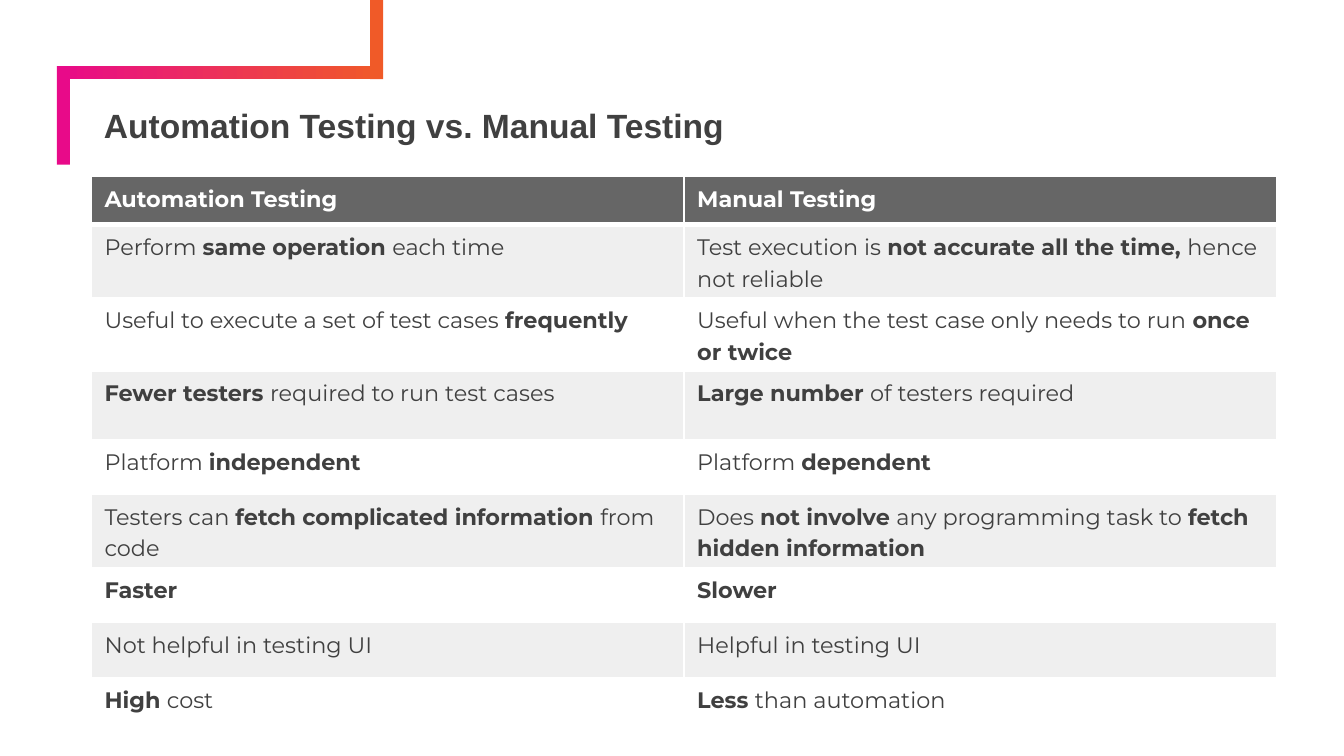
"""Build the slide that compares automation testing with manual testing."""
from lxml import etree
from pptx import Presentation
from pptx.dml.color import RGBColor
from pptx.enum import shapes, text
from pptx.oxml import ns
from pptx.util import Pt

COLORS = {
    "orange": "F05A28",
    "pink": "E80A89",
    "ink": "404040",
    "white": "FFFFFF",
    "header": "666666",
    "band": "EFEFEF",
}
ROW_HEIGHTS = [26, 36.7, 36.7, 36.7, 29.5, 36.7, 29.5, 29.5, 29.5]
COMPARISON = [
    ("*Automation Testing*", "*Manual Testing*"),
    ("Perform *same operation *each time",
     "Test execution is *not accurate all the time, *hence not reliable"),
    ("Useful to execute a set of test cases *frequently*",
     "Useful when the test case only needs to run *once or twice*"),
    ("*Fewer testers *required to run test cases",
     "*Large number *of testers required"),
    ("Platform *independent*", "Platform *dependent*"),
    ("Testers can *fetch complicated information *from code",
     "Does *not involve *any programming task to *fetch hidden information*"),
    ("*Faster*", "*Slower*"),
    ("Not helpful in testing UI", "Helpful in testing UI"),
    ("*High *cost", "*Less *than automation"),
]


def rgb(name):
    return RGBColor.from_string(COLORS[name])


def style_font(font, face, size, color, bold):
    font.name = face
    font.size = Pt(size)
    font.color.rgb = rgb(color)
    font.bold = bold


def add_bar(slide, left, top, width, height, *colors):
    bar = slide.shapes.add_shape(
        shapes.MSO_SHAPE.RECTANGLE, Pt(left), Pt(top), Pt(width), Pt(height))
    bar.shadow.inherit = False
    bar.line.fill.background()
    if len(colors) == 1:
        bar.fill.solid()
        bar.fill.fore_color.rgb = rgb(colors[0])
        return
    bar.fill.gradient()
    bar.fill.gradient_angle = 0
    for stop, color in zip(bar.fill.gradient_stops, colors):
        stop.color.rgb = rgb(color)


def add_title(slide, wording):
    title = slide.shapes.title
    title.left, title.top, title.width, title.height = (
        Pt(48.5), Pt(56), Pt(650), Pt(24.5))
    frame = title.text_frame
    frame.text = wording
    frame.word_wrap = True
    frame.auto_size = text.MSO_AUTO_SIZE.NONE
    frame.vertical_anchor = text.MSO_ANCHOR.MIDDLE
    heading = frame.paragraphs[0]
    heading.alignment = text.PP_ALIGN.LEFT
    heading.line_spacing = 0.9
    style_font(heading.runs[0].font, "Arial", 18, "ink", True)


def set_borders(cell, bottom):
    properties = cell._tc.get_or_add_tcPr()
    widths = {"a:lnL": 1, "a:lnR": 1, "a:lnT": 1, "a:lnB": bottom}
    for position, (tag, width) in enumerate(widths.items()):
        border = etree.Element(ns.qn(tag), w=str(Pt(width)))
        fill = etree.SubElement(border, ns.qn("a:solidFill"))
        etree.SubElement(fill, ns.qn("a:srgbClr"), val=COLORS["white"])
        properties.insert(position, border)


def fill_cell(cell, wording, fill, ink, bottom):
    cell.fill.solid()
    cell.fill.fore_color.rgb = rgb(fill)
    cell.margin_left = cell.margin_right = Pt(7.2)
    cell.margin_top = cell.margin_bottom = Pt(2.7)
    paragraph = cell.text_frame.paragraphs[0]
    paragraph.line_spacing = 1.15
    for index, part in enumerate(wording.split("*")):
        if part:
            run = paragraph.add_run()
            run.text = part
            style_font(run.font, "Montserrat", 12, ink, index % 2 == 1)
    set_borders(cell, bottom)


def add_comparison(slide):
    table = slide.shapes.add_table(
        len(COMPARISON), 2, Pt(48.8), Pt(94.5), Pt(635), Pt(sum(ROW_HEIGHTS))).table
    for column in table.columns:
        column.width = Pt(317.5)
    for index, (row, wordings) in enumerate(zip(table.rows, COMPARISON)):
        row.height = Pt(ROW_HEIGHTS[index])
        if index == 0:
            look = ("header", "white", 3)
        else:
            look = ("band" if index % 2 else "white", "ink", 1)
        for cell, wording in zip(row.cells, wordings):
            fill_cell(cell, wording, *look)
    for column in range(2):
        top = table.cell(1, column)._tc.tcPr.find(ns.qn("a:lnT"))
        top.set("w", str(Pt(3)))


def main():
    deck = Presentation()
    deck.slide_width, deck.slide_height = Pt(720), Pt(405)
    slide = deck.slides.add_slide(deck.slide_layouts[5])
    add_bar(slide, 30.5, 35.4, 174.7, 7, "pink", "orange")
    add_bar(slide, 30.5, 35.4, 7, 52.8, "pink")
    add_bar(slide, 198.3, 0, 7, 42.4, "orange")
    add_title(slide, "Automation Testing vs. Manual Testing")
    add_comparison(slide)
    deck.save("out.pptx")


if __name__ == "__main__":
    main()
